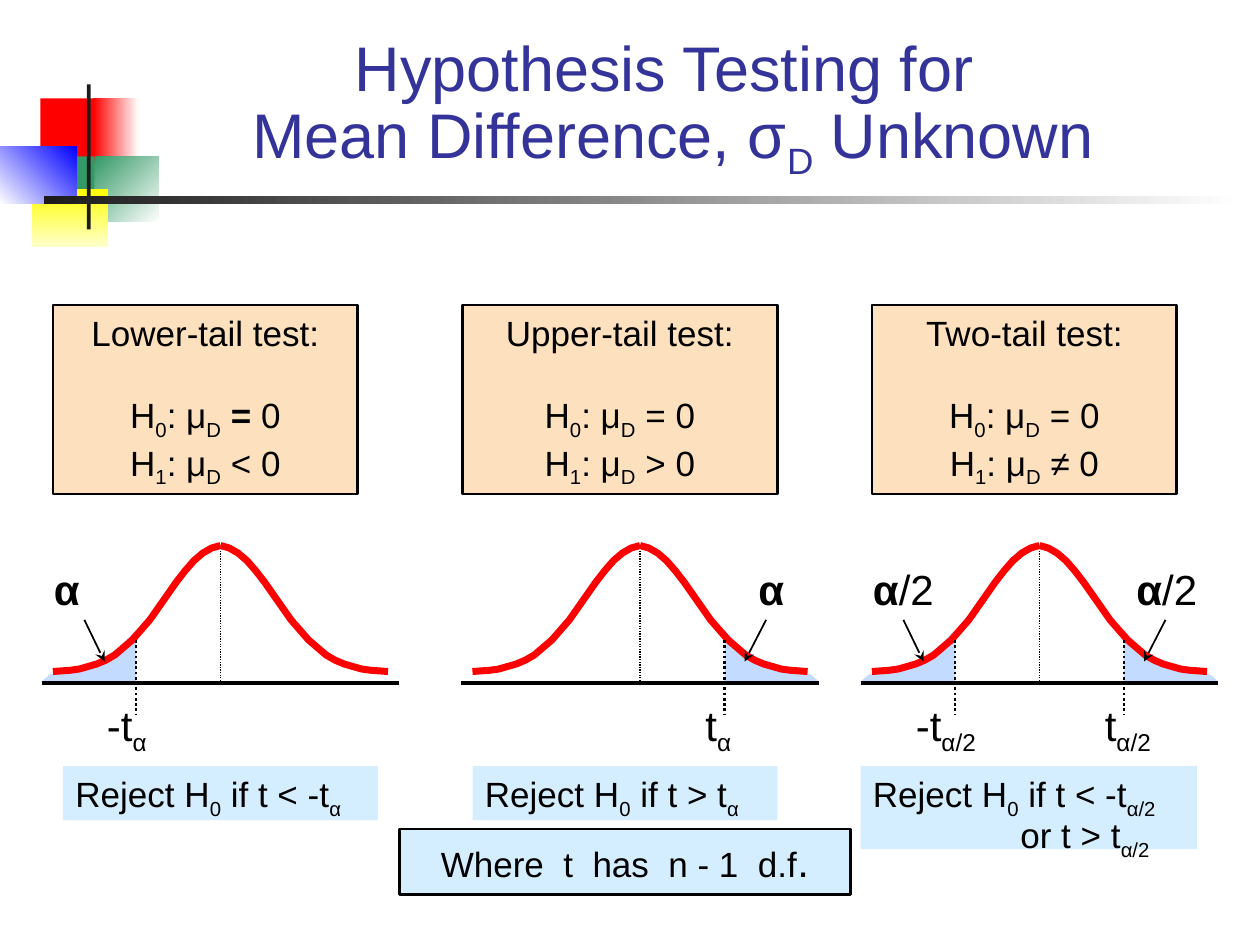
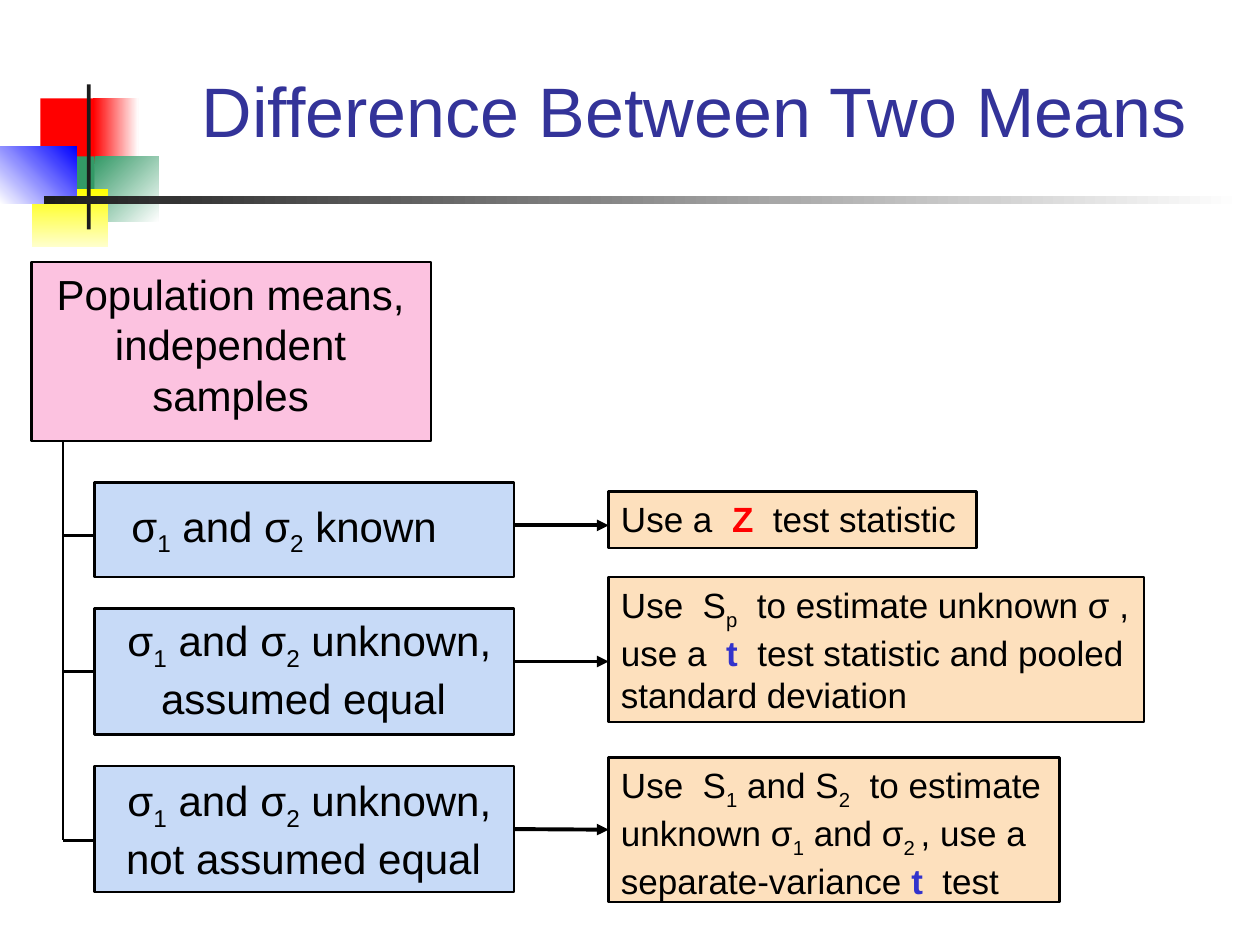
from lxml import etree
from pptx import Presentation, util as u
from pptx.dml.color import RGBColor
from pptx.enum import dml, shapes, text
from pptx.oxml.ns import qn

FONT = "Arial"
BLACK, INK, NAVY = "000000", "1C1C1C", "333399"
PEACH, PINK, BLUE = "FDE0BD", "FCC2E0", "C7DAF7"
SKY, TAIL, RED, VIOLET = "D5EEFF", "C3DBFF", "FF0000", "3333CC"
CENTER = text.PP_ALIGN.CENTER

AXIS_Y, PEAK_Y, CUT = 5.42, 4.33, 0.67
BELL = [(1.33, 1), (1.19, .99), (1.12, .98), (1.05, .96), (.98, .94), (.91, .91),
        (.84, .87), (.7, .75), (.56, .59), (.42, .39), (.35, .29), (.28, .2),
        (.21, .12), (.14, .06), (.07, .02), (0, 0)]
TAIL_EDGE = [(1.42, 1.08), (1.35, 1.02), (1.1, .97), (.97, .92), (.82, .82),
             (CUT, .67), (CUT, 1.08)]


def rgb(code):
    """Return the colour for a hex string."""
    return RGBColor.from_string(code)


def inches(*values):
    """Convert numbers to lengths in inches."""
    return [u.Inches(v) for v in values]


def write(tf, content, size=20, color=BLACK, accent=BLACK, align=None,
          spacing=None, before=None, indent=None):
    """Add a paragraph; parts split by | may start with ~ (subscript) or * (accent)."""
    p = tf.paragraphs[-1]
    if p.runs:
        p = tf.add_paragraph()
    p.alignment = align
    p.line_spacing = spacing
    if before is not None:
        p.space_before = u.Pt(before)
    if indent:
        p._p.get_or_add_pPr().set("indent", str(u.Inches(indent)))
    for part in content.split("|"):
        if part == "\n":
            p.add_line_break()
            continue
        strong = part.startswith("*")
        r = p.add_run()
        r.text = part.lstrip("~*")
        r.font.name, r.font.size, r.font.bold = FONT, u.Pt(size), strong
        r.font.color.rgb = rgb(accent if strong else color)
        if part.startswith("~"):
            r._r.get_or_add_rPr().set("baseline", "-25000")
    return p


def paint(sp, fill=None, line=None, width=1.5):
    """Set the fill and outline of a shape and remove its shadow."""
    sp.shadow.inherit = False
    if fill:
        sp.fill.solid()
        sp.fill.fore_color.rgb = rgb(fill)
    else:
        sp.fill.background()
    if line:
        sp.line.color.rgb = rgb(line)
        sp.line.width = u.Pt(width)
    else:
        sp.line.fill.background()
    return sp


def add_rect(s, box, fill, line=None):
    """Draw a rectangle whose text starts at the top left."""
    sp = s.shapes.add_shape(shapes.MSO_SHAPE.RECTANGLE, *inches(*box))
    sp.text_frame.word_wrap = True
    sp.text_frame.vertical_anchor = text.MSO_ANCHOR.TOP
    return paint(sp, fill, line)


def add_label(s, box, content, **fmt):
    """Add a wrapping text box and return its text frame."""
    tf = s.shapes.add_textbox(*inches(*box)).text_frame
    tf.word_wrap = True
    write(tf, content, **fmt)
    return tf


def add_outline(s, points, **look):
    """Draw a freeform through points given in inches."""
    start, *rest = [inches(*point) for point in points]
    builder = s.shapes.build_freeform(*start)
    builder.add_line_segments(rest, close="fill" in look)
    return paint(builder.convert_to_shape(), **look)


def add_line(s, start, end, width=1.5, dotted=False, arrow=None):
    """Draw a straight black connector, dotted or with an arrowhead if asked."""
    c = s.shapes.add_connector(shapes.MSO_CONNECTOR.STRAIGHT, *inches(*start, *end))
    c.line.color.rgb = rgb(BLACK)
    c.line.width = u.Pt(width)
    if dotted:
        c.line.dash_style = dml.MSO_LINE.ROUND_DOT
    props = c._element.spPr
    if arrow:
        etree.SubElement(props.find(qn("a:ln")), qn("a:tailEnd"), type=arrow)
    etree.SubElement(props, qn("a:effectLst"))
    return c


def decorate(layout, s):
    """Build the coloured squares and rule, then move them to the layout."""
    parts = [
        ((.32, .78, .48, .52), RED, None, 0),
        ((.74, .78, .36, .52), RED, "FFFFFF", 0),
        ((.75, 1.24, .51, .52), "339966", "FFFFFF", 45),
        ((.43, 1.24, .32, .52), "339966", None, 0),
        ((.25, 1.5, .61, .46), "FFFF00", "FFFFCC", 90),
        ((0, 1.16, .61, .46), "FFFFFF", "0000FF", 315),
        ((.69, .67, .03, 1.15), INK, None, 0),
        ((.35, 1.56, 9.51, .06), INK, "FFFFFF", 0),
    ]
    for number, (box, first, last, angle) in enumerate(parts, 20):
        sp = add_rect(s, box, first)
        if last:
            sp.fill.gradient()
            sp.fill.gradient_angle = (360 - angle) % 360
            for stop, code in zip(sp.fill.gradient_stops, (first, last)):
                stop.color.rgb = rgb(code)
        sp._element.nvSpPr.cNvPr.set("id", str(number))
        layout.shapes.element.append(sp._element)


def add_title(s, box, content, size, spacing=None):
    """Place and format the title placeholder."""
    title = s.shapes.title
    title.left, title.top, title.width, title.height = inches(*box)
    tf = title.text_frame
    tf.auto_size = text.MSO_AUTO_SIZE.NONE
    tf.word_wrap = True
    tf.vertical_anchor = text.MSO_ANCHOR.BOTTOM
    tf.margin_left = tf.margin_right = u.Inches(.09)
    write(tf, content, size=size, color=NAVY, align=CENTER, spacing=spacing)


def add_hypotheses(s, box, name, null, alternative):
    """Show the name of a test and its two hypotheses in a box."""
    add_rect(s, box, PEACH, BLACK)
    tf = add_label(s, box, name, align=CENTER)
    write(tf, f"H|~0|: μ|~D| {null}", align=CENTER, before=23)
    write(tf, f"H|~1|: μ|~D| {alternative}", align=CENTER)


def add_bell(s, center, sides):
    """Draw a bell curve with its rejection tails on the given sides."""
    add_line(s, (center, PEAK_Y), (center, AXIS_Y), width=.75, dotted=True)
    for side in sides:
        add_outline(s, [(center + side * x, PEAK_Y + y) for x, y in TAIL_EDGE], fill=TAIL)
    for side in (-1, 1):
        add_outline(s, [(center + side * x, PEAK_Y + y) for x, y in BELL], line=RED, width=4)
    add_line(s, (center - 1.42, AXIS_Y), (center + 1.42, AXIS_Y), width=2)
    for side in sides:
        outer, inner = (-1.08, -.92) if side < 0 else (1, .83)
        add_line(s, (center + outer, 4.92), (center + inner, 5.25), width=1, arrow="stealth")
        cut = center + side * CUT
        add_line(s, (cut, 5.08), (cut, 5.67), dotted=True)


def add_tail_labels(s, center, alpha, area, area_dx, area_width, value, value_dx):
    """Name the area of a tail and its critical value."""
    add_label(s, (center + area_dx, 4.42, area_width, .53), area, size=24)
    add_label(s, (center + value_dx, 5.5, 1.08, .5), f"{value}|~{alpha}", size=24)


def add_rule(s, box, content):
    """Show a rejection rule on a band and return its text frame."""
    tf = add_rect(s, box, SKY).text_frame
    write(tf, content)
    return tf


def build_tests_slide(s):
    """Compare the three tests for a mean difference."""
    add_title(s, (1.08, .25, 8.52, 1.17),
              "Hypothesis Testing for |\n|Mean Difference, σ|~D| Unknown", 36, .8)
    add_hypotheses(s, (.42, 2.42, 2.42, 1.5), "Lower-tail test:", "|*=| 0", "< 0")
    add_hypotheses(s, (3.67, 2.42, 2.5, 1.5), "Upper-tail test:", "= 0", "> 0")
    add_hypotheses(s, (6.92, 2.42, 2.42, 1.5), "Two-tail test:", "= 0", "≠ 0")
    lower, upper, both = 1.75, 5.08, 8.25
    for center, sides in ((lower, [-1]), (upper, [1]), (both, [-1, 1])):
        add_bell(s, center, sides)
    add_tail_labels(s, lower, "α", "*α", -1.42, .42, "-t", -1)
    add_tail_labels(s, upper, "α", "*α", .84, .42, "t", .42)
    add_tail_labels(s, both, "α/2", "*α|/2", -1.42, .92, "-t", -1.08)
    add_tail_labels(s, both, "α/2", "*α|/2", .67, .92, "t", .42)
    add_rule(s, (.5, 6.08, 2.5, .43), "Reject H|~0| if t < -t|~α")
    add_rule(s, (3.75, 6.08, 2.42, .43), "Reject H|~0| if t > t|~α")
    tf = add_rule(s, (6.83, 6.08, 2.67, .66), "Reject H|~0| if t < -t|~α/2")
    write(tf, "or t > t|~α/2", spacing=.2, before=12, indent=1.17)
    freedom = add_rect(s, (3.17, 6.58, 3.58, .52), SKY, BLACK)
    p = write(freedom.text_frame, "Where  t  has  n - 1  d.f|.", align=CENTER)
    p.runs[-1].font.size = u.Pt(24)


def add_case(s, case_box, case_label, case, advice_box, advice, accent, branch_y, arrow_y):
    """Show a case on its branch with an arrow to the statistic to use."""
    left, top, width, height = case_box
    case_rect = add_rect(s, case_box, BLUE, BLACK)
    add_label(s, case_label, case, size=24, align=CENTER)
    advice_rect = add_rect(s, advice_box, PEACH, BLACK)
    write(advice_rect.text_frame, advice, accent=accent)
    middle = top + height / 2
    branch = add_line(s, (.5, branch_y), (left, branch_y))
    if abs(branch_y - middle) < .01:
        branch.end_connect(case_rect, 1)
    arrow = add_line(s, (left + width, arrow_y), (advice_box[0], arrow_y),
                     width=2.25, arrow="triangle")
    if abs(arrow_y - middle) < .01:
        arrow.begin_connect(case_rect, 3)
    if abs(arrow_y - advice_box[1] - advice_box[3] / 2) < .01:
        arrow.end_connect(advice_rect, 1)


def build_means_slide(s):
    """Show which statistic suits each case of two independent samples."""
    add_title(s, (1.25, .42, 8.52, .83), "Difference Between Two Means", 40)
    add_rect(s, (.25, 2.08, 3.17, 1.42), PINK, BLACK)
    add_label(s, (.33, 2.08, 3, 1.3), "Population means, independent samples",
              size=24, align=CENTER)
    add_line(s, (.5, 3.5), (.5, 6.67))
    sigmas = "σ|~1| and σ|~2"
    add_case(s, (.75, 3.83, 3.33, .75), (.92, 3.92, 2.67, .53), sigmas + "| known",
             (4.83, 3.9, 2.92, .45), "Use a  |*Z | test statistic", RED, 4.25, 4.17)
    add_case(s, (.75, 4.83, 3.33, 1), (.83, 4.83, 3.25, .93),
             sigmas + "| unknown, assumed equal ", (4.83, 4.58, 4.25, 1.15),
             "Use  S|~p|  to estimate unknown σ , use a  |*t|"
             "  test statistic and pooled standard deviation", VIOLET, 5.33, 5.25)
    add_case(s, (.75, 6.08, 3.33, 1), (.83, 6.1, 3.25, .93),
             sigmas + "| unknown, not assumed equal ", (4.83, 6.01, 3.58, 1.15),
             f"Use  S|~1| and S|~2|  to estimate unknown {sigmas} |"
             ", use a  separate-variance |*t|  test", VIOLET, 6.67, 6.58)


def main():
    """Build the two slides and save them."""
    prs = Presentation()
    prs.slide_width, prs.slide_height = inches(10, 7.5)
    layout = prs.slide_layouts[5]
    tests, means = [prs.slides.add_slide(layout) for _ in range(2)]
    decorate(layout, tests)
    build_tests_slide(tests)
    build_means_slide(means)
    prs.save("out.pptx")


if __name__ == "__main__":
    main()
